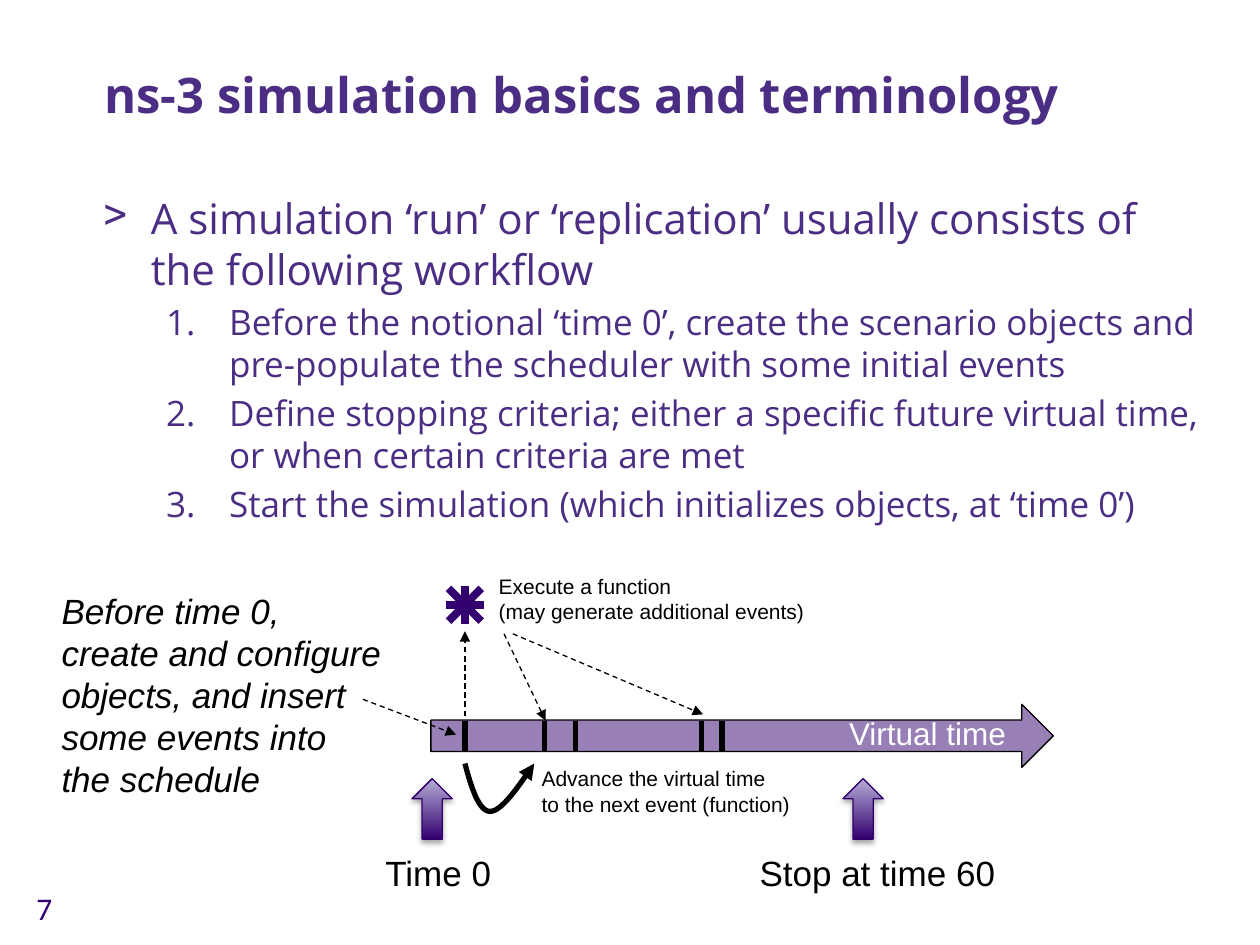
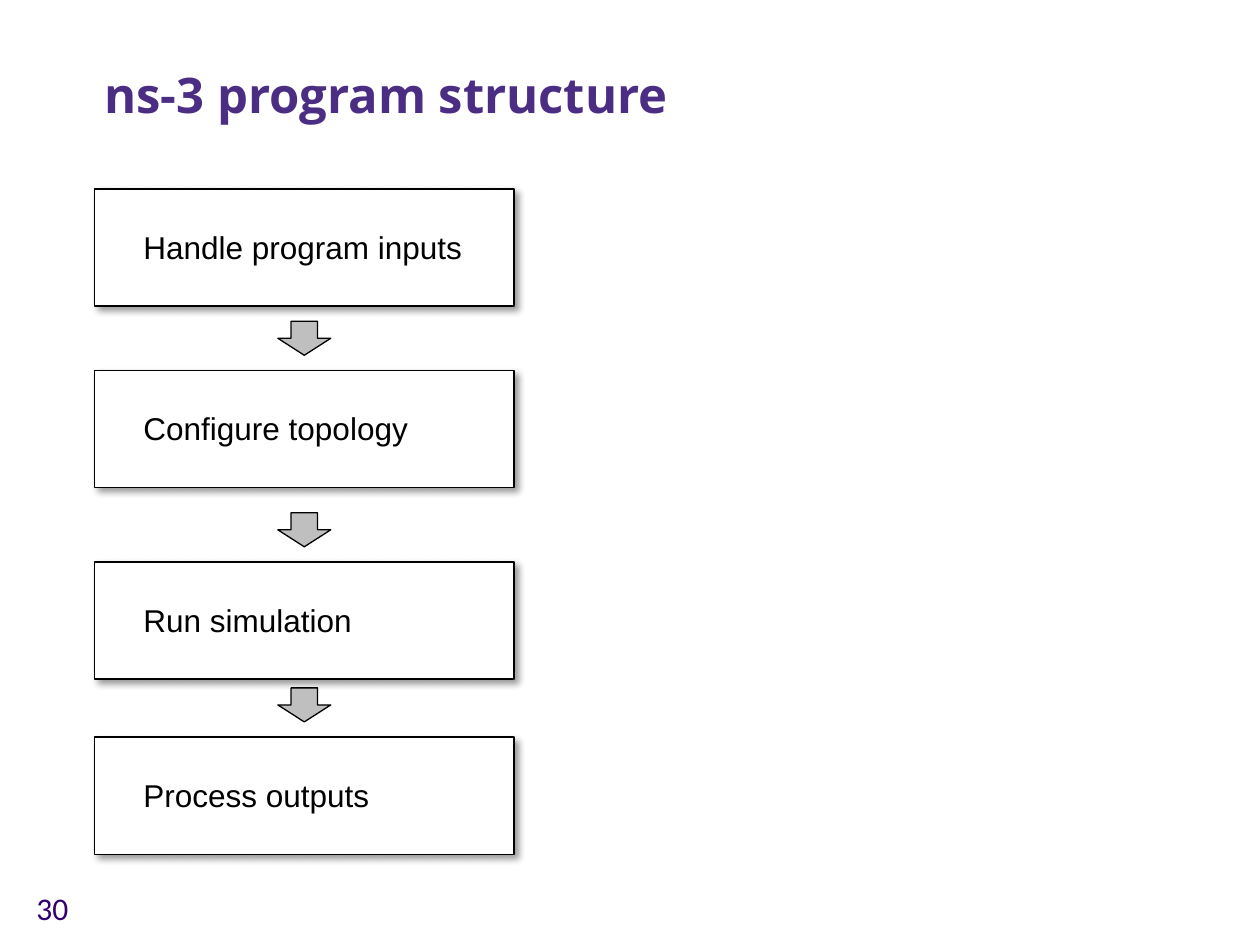
from dataclasses import dataclass

from lxml.etree import SubElement
from pptx import Presentation
from pptx.dml.color import RGBColor
from pptx.enum.dml import MSO_LINE
from pptx.enum.shapes import MSO_CONNECTOR, MSO_SHAPE
from pptx.enum.text import MSO_ANCHOR
from pptx.oxml.ns import qn
from pptx.util import Inches, Pt


@dataclass(frozen=True)
class Theme:
    heading: str = "4B2E83"
    deep: str = "33006F"
    outline: str = "32006D"
    pale: str = "B5AED7"
    ink: str = "000000"
    paper: str = "FFFFFF"
    grey: str = "BFBFBF"
    display_font: str = "Open Sans"
    label_font: str = "Arial"
    number_font: str = "Calibri"
    title_size: int = 28
    lead_size: int = 24
    step_size: int = 20
    callout_size: int = 20
    label_size: int = 18
    note_size: int = 12
    hairline: float = 0.75
    event_width: float = 3
    burst_width: float = 4.5


THEME = Theme()

# Shadows: opacity in percent, blur and distance in points, direction in degrees
MARKER_SHADOW = (35, 3.1, 1.8, 90)
STAGE_SHADOW = (40, 4, 3, 45)

# Slide "basics": wording, then the timeline; all places in inches
BASICS_TITLE = "ns-3 simulation basics and terminology"
BASICS_NUMBER = "7"
LEAD = "A simulation ‘run’ or ‘replication’ usually consists of the following workflow"
STEPS = [
    "Before the notional ‘time 0’, create the scenario objects and "
    "pre-populate the scheduler with some initial events",
    "Define stopping criteria; either a specific future virtual time, "
    "or when certain criteria are met",
    "Start the simulation (which initializes objects, at ‘time 0’)",
]
TIMELINE = (3.42, 5.59, 4.94, 0.5)
EVENT_TIMES = [3.69, 4.32, 4.57, 5.57, 5.73]
BURST_CENTRE = (3.69, 4.8)
BURST_SPOKES = [(0.13, 0.13), (0.13, -0.13), (0, 0.15), (0.15, 0)]
DASHED_ARROWS = [
    ((3.69, 5.68), (3.69, 5.01)),
    ((4, 5.03), (4.33, 5.72)),
    ((4.07, 5.03), (5.58, 5.67)),
    ((2.88, 5.55), (3.62, 5.83)),
]
ADVANCE_CURVE = [
    [(3.69, 6.06), (3.74, 6.25), (3.8, 6.44), (3.89, 6.44)],
    [(3.89, 6.44), (3.98, 6.44), (4.11, 6.25), (4.24, 6.06)],
]
TIME_MARKERS = [3.27, 6.69]
# lines, place, size, colour, italic
TIMELINE_LABELS = [
    (["Execute a function", "(may generate additional events)"],
     (3.86, 4.5, 2.64, 0.5), THEME.note_size, THEME.ink, False),
    (["Advance the virtual time", "to the next event (function)"],
     (4.2, 6.03, 2.19, 0.5), THEME.note_size, THEME.ink, False),
    (["Virtual time"], (6.64, 5.62, 1.46, 0.4), THEME.label_size, THEME.paper, False),
    (["Time 0"], (2.96, 6.71, 1.05, 0.44), THEME.callout_size, THEME.ink, False),
    (["Stop at time 60"], (5.93, 6.71, 2.16, 0.44), THEME.callout_size, THEME.ink, False),
    (["Before time 0,", "create and configure", "objects, and insert",
      "some events into", "the schedule"],
     (0.39, 4.63, 2.76, 1.78), THEME.callout_size, THEME.ink, True),
]

# Slide "structure": stage, its top, width of its label
STRUCTURE_TITLE = "ns-3 program structure"
STRUCTURE_NUMBER = "30"
STAGES = [
    ("Handle program inputs", 1.5, 2.75),
    ("Configure topology", 2.94, 2.32),
    ("Run simulation", 4.46, 1.87),
    ("Process outputs", 5.85, 2.01),
]
STAGE_LEFT, STAGE_WIDTH, STAGE_HEIGHT = 0.75, 3.33, 0.93
STEP_ARROW_WIDTH, STEP_ARROW_HEIGHT, STEP_ARROW_RISE = 0.42, 0.27, 0.39


def rgb(colour):
    return RGBColor.from_string(colour)


def inches(values):
    return [Inches(value) for value in values]


def add_text(slide, place, lines, font, size, colour, bold=False, italic=False, wrap=False):
    frame = slide.shapes.add_textbox(*inches(place)).text_frame
    frame.word_wrap = wrap
    frame.text = "\n".join(lines)
    for paragraph in frame.paragraphs:
        style = paragraph.font
        style.name, style.size = font, Pt(size)
        style.color.rgb = rgb(colour)
        style.bold, style.italic = bold, italic
    return frame


def set_line(line, colour, width):
    line.color.rgb = rgb(colour)
    line.width = Pt(width)


def add_arrowhead(line):
    SubElement(line._get_or_add_ln(), qn("a:tailEnd"), type="triangle")


def add_solid(slide, preset, place, fill, line=THEME.ink):
    solid = slide.shapes.add_shape(preset, *inches(place))
    solid.shadow.inherit = False
    solid.fill.solid()
    solid.fill.fore_color.rgb = rgb(fill)
    set_line(solid.line, line, THEME.hairline)
    return solid


def add_shadow(solid, opacity, blur, distance, direction):
    effects = solid._element.spPr.find(qn("a:effectLst"))
    shadow = SubElement(effects, qn("a:outerShdw"), blurRad=str(Pt(blur)),
                        dist=str(Pt(distance)), dir=str(direction * 60000),
                        algn="ctr", rotWithShape="0")
    tint = SubElement(shadow, qn("a:srgbClr"), val=THEME.ink)
    SubElement(tint, qn("a:alpha"), val=str(opacity * 1000))


def add_stroke(slide, start, end, colour, width):
    stroke = slide.shapes.add_connector(MSO_CONNECTOR.STRAIGHT, *inches(start + end))
    set_line(stroke.line, colour, width)
    SubElement(stroke._element.spPr, qn("a:effectLst"))
    return stroke


def set_bullet(paragraph, margin, indent, tag, **attributes):
    properties = paragraph._p.get_or_add_pPr()
    properties.set("marL", str(Inches(margin)))
    properties.set("indent", str(Inches(indent)))
    SubElement(properties, qn(tag), **attributes)


def start_slide(deck, title, number):
    slide = deck.slides.add_slide(deck.slide_layouts[6])
    add_text(slide, (0.19, 7.01, 0.53, 0.4), [number], THEME.number_font,
             THEME.label_size, THEME.deep, wrap=True)
    heading = add_text(slide, (0.73, 0.42, 8.95, 0.61), [title], THEME.display_font,
                       THEME.title_size, THEME.heading, bold=True, wrap=True)
    heading.vertical_anchor = MSO_ANCHOR.BOTTOM
    heading.paragraphs[0].line_spacing = 0.9
    return slide


def add_workflow(slide):
    workflow = add_text(slide, (0.72, 1.48, 8.96, 4.87), [LEAD, *STEPS], THEME.display_font,
                        THEME.step_size, THEME.heading, wrap=True)
    lead, *steps = workflow.paragraphs
    lead.font.size = Pt(THEME.lead_size)
    set_bullet(lead, 0.38, -0.38, "a:buChar", char=">")
    for step in steps:
        step.level = 1
        step.space_before = Pt(THEME.step_size * 0.2)
        set_bullet(step, 1, -0.5, "a:buAutoNum", type="arabicPeriod")


def curve_points(controls, pieces=16):
    """Points along a cubic Bezier curve."""
    for piece in range(pieces + 1):
        t = piece / pieces
        weights = ((1 - t) ** 3, 3 * t * (1 - t) ** 2, 3 * t ** 2 * (1 - t), t ** 3)
        yield tuple(sum(w * point[axis] for w, point in zip(weights, controls))
                    for axis in (0, 1))


def add_advance_curve(slide):
    points = [inches(point) for controls in ADVANCE_CURVE for point in curve_points(controls)]
    builder = slide.shapes.build_freeform(*points[0])
    builder.add_line_segments(points[1:], close=False)
    curve = builder.convert_to_shape()
    curve.shadow.inherit = False
    curve.fill.background()
    set_line(curve.line, THEME.ink, THEME.event_width)
    add_arrowhead(curve.line)


def add_timeline(slide):
    timeline = add_solid(slide, MSO_SHAPE.RIGHT_ARROW, TIMELINE, THEME.deep)
    tint = timeline._element.spPr.find(qn("a:solidFill"))[0]
    SubElement(tint, qn("a:alpha"), val="50000")

    x, y = BURST_CENTRE
    for dx, dy in BURST_SPOKES:
        add_stroke(slide, (x - dx, y - dy), (x + dx, y + dy), THEME.deep, THEME.burst_width)
    for event in EVENT_TIMES:
        add_stroke(slide, (event, 5.72), (event, 5.97), THEME.ink, THEME.event_width)
    for start, end in DASHED_ARROWS:
        arrow = add_stroke(slide, start, end, THEME.ink, THEME.hairline)
        arrow.line.dash_style = MSO_LINE.DASH
        add_arrowhead(arrow.line)
    add_advance_curve(slide)

    for left in TIME_MARKERS:
        marker = add_solid(slide, MSO_SHAPE.UP_ARROW, (left, 6.18, 0.32, 0.48),
                           THEME.deep, THEME.outline)
        marker.fill.gradient()
        marker.fill.gradient_angle = 90
        for stop, colour in zip(marker.fill.gradient_stops, (THEME.deep, THEME.pale)):
            stop.color.rgb = rgb(colour)
        add_shadow(marker, *MARKER_SHADOW)
    for lines, place, size, colour, italic in TIMELINE_LABELS:
        add_text(slide, place, lines, THEME.label_font, size, colour, italic=italic)


def add_stages(slide):
    arrow_left = STAGE_LEFT + (STAGE_WIDTH - STEP_ARROW_WIDTH) / 2
    for index, (stage, top, label_width) in enumerate(STAGES):
        box = add_solid(slide, MSO_SHAPE.RECTANGLE,
                        (STAGE_LEFT, top, STAGE_WIDTH, STAGE_HEIGHT), THEME.paper)
        add_shadow(box, *STAGE_SHADOW)
        add_text(slide, (STAGE_LEFT + 0.29, top + 0.26, label_width, 0.4), [stage],
                 THEME.label_font, THEME.label_size, THEME.ink)
        if index:
            add_solid(slide, MSO_SHAPE.DOWN_ARROW,
                      (arrow_left, top - STEP_ARROW_RISE, STEP_ARROW_WIDTH, STEP_ARROW_HEIGHT),
                      THEME.grey)


def main():
    deck = Presentation()
    deck.slide_width, deck.slide_height = Inches(10), Inches(7.5)
    basics = start_slide(deck, BASICS_TITLE, BASICS_NUMBER)
    add_workflow(basics)
    add_timeline(basics)
    add_stages(start_slide(deck, STRUCTURE_TITLE, STRUCTURE_NUMBER))
    deck.save("out.pptx")


if __name__ == "__main__":
    main()
